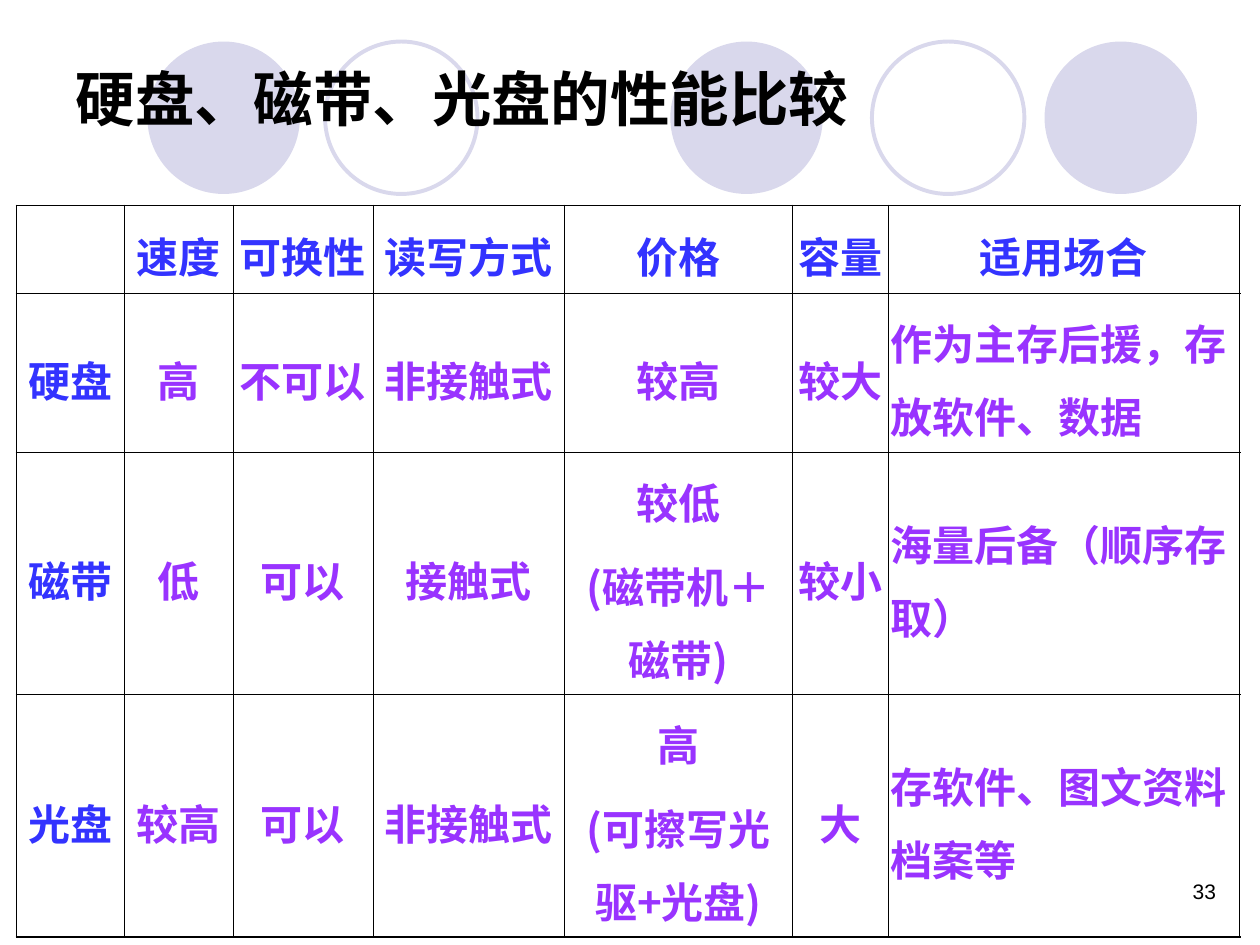
"""Build a slide comparing hard disk, tape and optical disc in a table."""
import lxml.etree
import pptx
import pptx.dml.color
import pptx.enum.shapes
import pptx.enum.text
import pptx.oxml.ns
import pptx.util

WIDTH, HEIGHT = pptx.util.Inches(10), pptx.util.Inches(7.5)
COLORS = {"text": "000000", "head": "3333FF", "body": "9933FF", "circle": "D9D8EC"}
CJK_FONT = "Noto Sans CJK SC"
ALIGN = pptx.enum.text.PP_ALIGN
MIDDLE = pptx.enum.text.MSO_ANCHOR.MIDDLE

CIRCLE_SIZE = (12.1, 16.13)
CIRCLES = [(53.2, True), (82.9, True), (11.7, True), (69.2, False), (25.8, False)]
COLUMN_SHARES = [8.6, 8.6, 11.1, 15.2, 18.1, 7.6, 27.9]
ROW_SHARES = [9.33, 15.2, 20.8, 20.8]
ROWS = [
    ["", "速度", "可换性", "读写方式", "价格", "容量", "适用场合"],
    ["硬盘", "高", "不可以", "非接触式", "较高", "较大", "作为主存后援，存放软件、数据"],
    ["磁带", "低", "可以", "接触式", "较低\n(磁带机＋磁带)", "较小", "海量后备（顺序存取）"],
    ["光盘", "较高", "可以", "非接触式", "高\n(可擦写光驱+光盘)", "大", "存软件、图文资料档案等"],
]


def across(share):
    """Return a percentage of the slide's width."""
    return round(WIDTH * share / 100)


def down(share):
    """Return a percentage of the slide's height."""
    return round(HEIGHT * share / 100)


def area(left, top, width, height):
    """Turn four percentages into a position and a size."""
    return across(left), down(top), across(width), down(height)


def set_all(target, values):
    """Set attributes of an object from a dict."""
    for name, value in values.items():
        setattr(target, name, value)


def rgb(name):
    """Look up a named colour."""
    return pptx.dml.color.RGBColor.from_string(COLORS[name])


def write(frame, text, color, font, paragraph_format):
    """Write text into a frame, one paragraph for each line."""
    frame.text = text
    for para in frame.paragraphs:
        set_all(para, paragraph_format)
        for span in para.runs:
            set_all(span.font, font)
            span.font.color.rgb = rgb(color)
            east_asian = lxml.etree.SubElement(span.font._element, pptx.oxml.ns.qn("a:ea"))
            east_asian.set("typeface", CJK_FONT)


def add_circle(page, left, filled):
    """Add one background circle, either solid or outlined."""
    circle = page.shapes.add_shape(
        pptx.enum.shapes.MSO_SHAPE.OVAL, *area(left, 4.4, *CIRCLE_SIZE))
    circle.shadow.inherit = False
    if filled:
        circle.fill.solid()
        circle.fill.fore_color.rgb = rgb("circle")
        circle.line.fill.background()
    else:
        circle.fill.background()
        circle.line.color.rgb = rgb("circle")
        circle.line.width = pptx.util.Pt(2.25)


def add_page_number(page):
    """Add the page number at the lower right."""
    box = page.shapes.add_textbox(*area(74.2, 92.27, 23.3, 6.67))
    box.text_frame.word_wrap = True
    write(box.text_frame, "33", "text", {"size": pptx.util.Pt(12), "name": "Arial"},
          {"alignment": ALIGN.RIGHT})


def add_title(page):
    """Fill the title placeholder and bring it in front of the circles."""
    title = page.shapes.title
    left, top, width, height = area(5, 4, 90, 12.67)
    set_all(title, {"left": left, "top": top, "width": width, "height": height})
    title.text_frame.vertical_anchor = MIDDLE
    write(title.text_frame, "硬盘、磁带、光盘的性能比较", "text",
          {"size": pptx.util.Pt(34), "name": "Arial", "bold": True},
          {"alignment": ALIGN.LEFT})
    page.shapes._spTree.append(title._element)


def set_borders(cell, outer_sides):
    """Draw the four borders of a cell, heavier on the table's edge."""
    properties = cell._tc.get_or_add_tcPr()
    for side, is_outer in outer_sides.items():
        line = lxml.etree.SubElement(properties, pptx.oxml.ns.qn(f"a:ln{side}"))
        line.set("w", str(pptx.util.Pt(1.08 if is_outer else 0.45)))
        fill = lxml.etree.SubElement(line, pptx.oxml.ns.qn("a:solidFill"))
        lxml.etree.SubElement(fill, pptx.oxml.ns.qn("a:srgbClr")).set("val", COLORS["text"])


def format_cell(cell, text, row, column):
    """Format and fill one cell according to its place in the table."""
    last_row, last_column = len(ROWS) - 1, len(COLUMN_SHARES) - 1
    set_borders(cell, {"L": column == 0, "R": column == last_column,
                       "T": row == 0, "B": row == last_row})
    cell.fill.background()
    side, edge = pptx.util.Inches(0.02), pptx.util.Inches(0.05)
    set_all(cell, {"margin_left": side, "margin_right": side, "margin_top": edge,
                   "margin_bottom": edge, "vertical_anchor": MIDDLE})
    is_head = row == 0 or column == 0
    is_left = column == last_column and not is_head
    write(cell.text_frame, text, "head" if is_head else "body",
          {"size": pptx.util.Pt(24), "name": CJK_FONT, "bold": True},
          {"alignment": ALIGN.LEFT if is_left else ALIGN.CENTER, "line_spacing": 1.2,
           "space_before": pptx.util.Pt(3), "space_after": pptx.util.Pt(3)})


def add_comparison(page):
    """Add the comparison table."""
    table = page.shapes.add_table(
        len(ROWS), len(COLUMN_SHARES),
        *area(1.3, 21.73, sum(COLUMN_SHARES), sum(ROW_SHARES))).table
    set_all(table, {"first_row": False, "horz_banding": False})
    for column, share in zip(table.columns, COLUMN_SHARES):
        column.width = across(share)
    for row, share in zip(table.rows, ROW_SHARES):
        row.height = down(share)
    for row, texts in enumerate(ROWS):
        for column, text in enumerate(texts):
            format_cell(table.cell(row, column), text, row, column)


def main():
    """Build and save the deck."""
    deck = pptx.Presentation()
    set_all(deck, {"slide_width": WIDTH, "slide_height": HEIGHT})
    page = deck.slides.add_slide(deck.slide_layouts[5])
    for left, filled in CIRCLES:
        add_circle(page, left, filled)
    add_page_number(page)
    add_title(page)
    add_comparison(page)
    deck.save("out.pptx")


if __name__ == "__main__":
    main()
